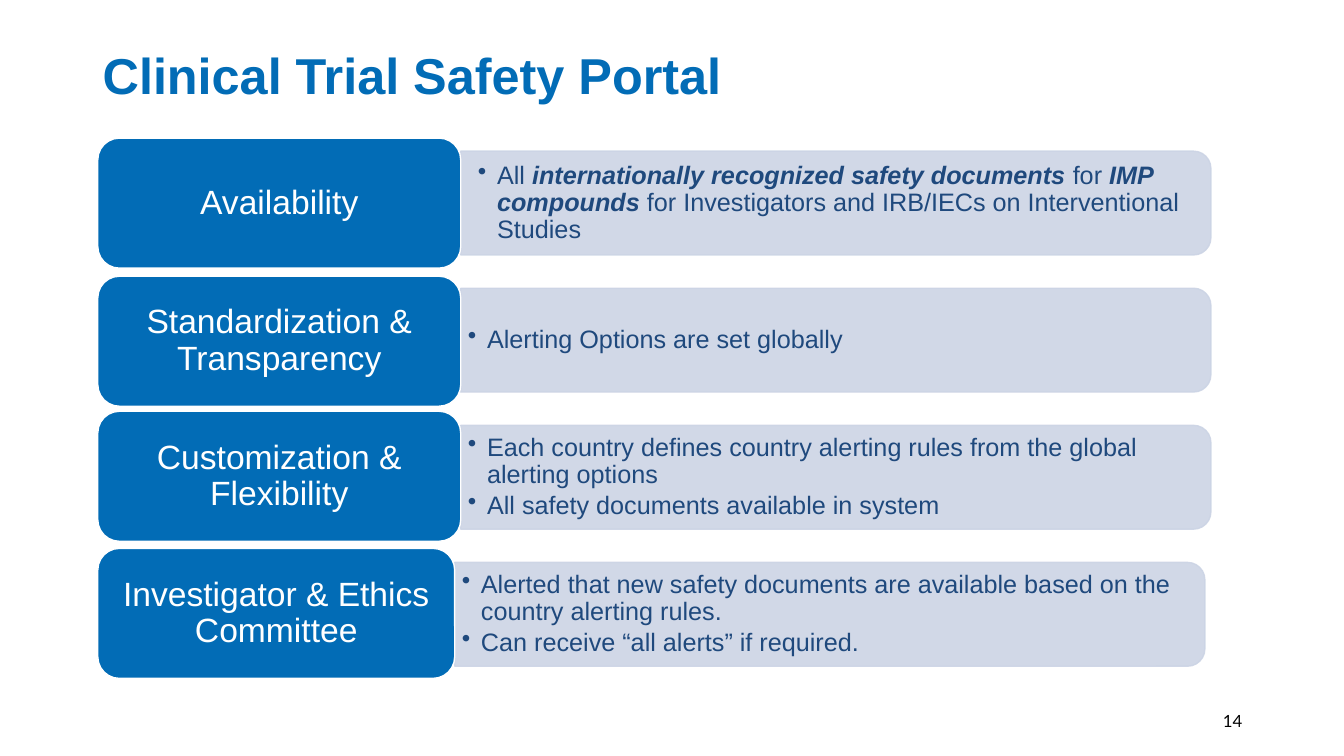
import dataclasses
import typing

import pptx
import pptx.dml.color
import pptx.enum.shapes
import pptx.enum.text
import pptx.oxml
import pptx.oxml.ns
import pptx.util

EMU_PER_PX = 9144
Shapes = pptx.enum.shapes.MSO_SHAPE
Align = pptx.enum.text.PP_ALIGN
Anchor = pptx.enum.text.MSO_ANCHOR


@dataclasses.dataclass(frozen=True)
class Theme:
    font: str = "Arial"
    number_font: str = "Lato"
    blue: str = "026CB6"
    panel: str = "CCD4E5"
    body: str = "1F497D"
    white: str = "FFFFFF"
    black: str = "000000"
    title_size: int = 36
    label_size: int = 24
    body_size: int = 18
    number_size: int = 12
    line_width: int = 1
    line_spacing: float = 0.9
    bullet_gap: float = 2.7
    panel_alpha: int = 90000


class Span(typing.NamedTuple):
    text: str
    emphasis: bool = False


class Row(typing.NamedTuple):
    label: str
    label_top: int
    label_width: int
    bullets: list[list[Span]]
    inset: tuple[int, int] = (7, 4)


THEME = Theme()
LABEL_LEFT, LABEL_HEIGHT = 97, 129
PANEL_TOP, PANEL_PITCH = 150, 136
PANEL_WIDTH, PANEL_HEIGHT = 744, 103
BULLET_WIDTH, BULLET_HEIGHT, BULLET_INDENT = 739, 93, 19

ROWS = [
    Row("Availability", 137, 360, [[
        Span("All "),
        Span("internationally recognized safety documents", True),
        Span(" for "),
        Span("IMP compounds ", True),
        Span("for Investigators and IRB/IECs on Interventional Studies"),
    ]], (17, 9)),
    Row("Standardization & Transparency", 274, 360, [
        [Span("Alerting Options are set globally")],
    ]),
    Row("Customization & Flexibility", 408, 360, [
        [Span("Each country defines country alerting rules from the global alerting options")],
        [Span("All safety documents available in system")],
    ]),
    Row("Investigator & Ethics Committee", 544, 354, [
        [Span("Alerted that new safety documents are available based on the country alerting rules.")],
        [Span("Can receive “all alerts” if required.")],
    ]),
]


def px(length: int) -> int:
    return length * EMU_PER_PX


def rgb(color: str) -> pptx.dml.color.RGBColor:
    return pptx.dml.color.RGBColor.from_string(color)


def set_font(paragraph, size: int, color: str, name: str = THEME.font) -> None:
    paragraph.font.name = name
    paragraph.font.size = pptx.util.Pt(size)
    paragraph.font.color.rgb = rgb(color)


def prepare_frame(shape):
    frame = shape.text_frame
    frame.word_wrap = True
    frame.vertical_anchor = Anchor.MIDDLE
    return frame


def add_text_box(slide, left: int, top: int, width: int, height: int):
    return prepare_frame(slide.shapes.add_textbox(px(left), px(top), px(width), px(height)))


def paint(shape, fill: str, line: str) -> None:
    shape.shadow.inherit = False
    shape.fill.solid()
    shape.fill.fore_color.rgb = rgb(fill)
    shape.line.color.rgb = rgb(line)
    shape.line.width = pptx.util.Pt(THEME.line_width)


def add_panel(slide, left: int, top: int) -> None:
    offset = px(PANEL_WIDTH - PANEL_HEIGHT) // 2
    panel = slide.shapes.add_shape(
        Shapes.ROUND_2_SAME_RECTANGLE,
        px(left) + offset, px(top) - offset, px(PANEL_HEIGHT), px(PANEL_WIDTH))
    panel.rotation = 90
    paint(panel, THEME.panel, THEME.panel)
    for color in panel._element.spPr.iter(pptx.oxml.ns.qn("a:srgbClr")):
        alpha = pptx.oxml.parse_xml(
            f'<a:alpha {pptx.oxml.ns.nsdecls("a")} val="{THEME.panel_alpha}"/>')
        color.append(alpha)


def add_bullets(slide, row: Row, left: int, top: int) -> None:
    frame = add_text_box(slide, left, top, BULLET_WIDTH, BULLET_HEIGHT)
    horizontal, vertical = row.inset
    frame.margin_left = frame.margin_right = px(horizontal)
    frame.margin_top = frame.margin_bottom = px(vertical)
    for index, spans in enumerate(row.bullets):
        paragraph = frame.add_paragraph() if index else frame.paragraphs[0]
        properties = paragraph._p.get_or_add_pPr()
        properties.set("marL", str(px(BULLET_INDENT)))
        properties.set("indent", str(-px(BULLET_INDENT)))
        properties.append(pptx.oxml.parse_xml(
            f'<a:buChar {pptx.oxml.ns.nsdecls("a")} char="•"/>'))
        paragraph.line_spacing = THEME.line_spacing
        paragraph.space_after = pptx.util.Pt(THEME.bullet_gap)
        set_font(paragraph, THEME.body_size, THEME.body)
        for span in spans:
            run = paragraph.add_run()
            run.text = span.text
            if span.emphasis:
                run.font.bold = run.font.italic = True


def add_label(slide, row: Row) -> None:
    label = slide.shapes.add_shape(
        Shapes.ROUNDED_RECTANGLE,
        px(LABEL_LEFT), px(row.label_top), px(row.label_width), px(LABEL_HEIGHT))
    paint(label, THEME.blue, THEME.white)
    paragraph = prepare_frame(label).paragraphs[0]
    paragraph.text = row.label
    paragraph.alignment = Align.CENTER
    paragraph.line_spacing = THEME.line_spacing
    set_font(paragraph, THEME.label_size, THEME.white)


def add_row(slide, row: Row, index: int) -> None:
    left = LABEL_LEFT + row.label_width
    top = PANEL_TOP + index * PANEL_PITCH
    add_panel(slide, left, top)
    add_bullets(slide, row, left, top + (PANEL_HEIGHT - BULLET_HEIGHT) // 2)
    add_label(slide, row)


def main() -> None:
    presentation = pptx.Presentation()
    presentation.slide_width = px(1333)
    presentation.slide_height = px(750)
    slide = presentation.slides.add_slide(presentation.slide_layouts[6])

    title = add_text_box(slide, 92, 40, 1150, 75).paragraphs[0]
    title.text = "Clinical Trial Safety Portal"
    title.line_spacing = THEME.line_spacing
    set_font(title, THEME.title_size, THEME.blue)
    title.font.bold = True

    for index, row in enumerate(ROWS):
        add_row(slide, row, index)

    number = add_text_box(slide, 942, 695, 300, 40).paragraphs[0]
    number.text = "14"
    number.alignment = Align.RIGHT
    set_font(number, THEME.number_size, THEME.black, THEME.number_font)

    presentation.save("out.pptx")


if __name__ == "__main__":
    main()
